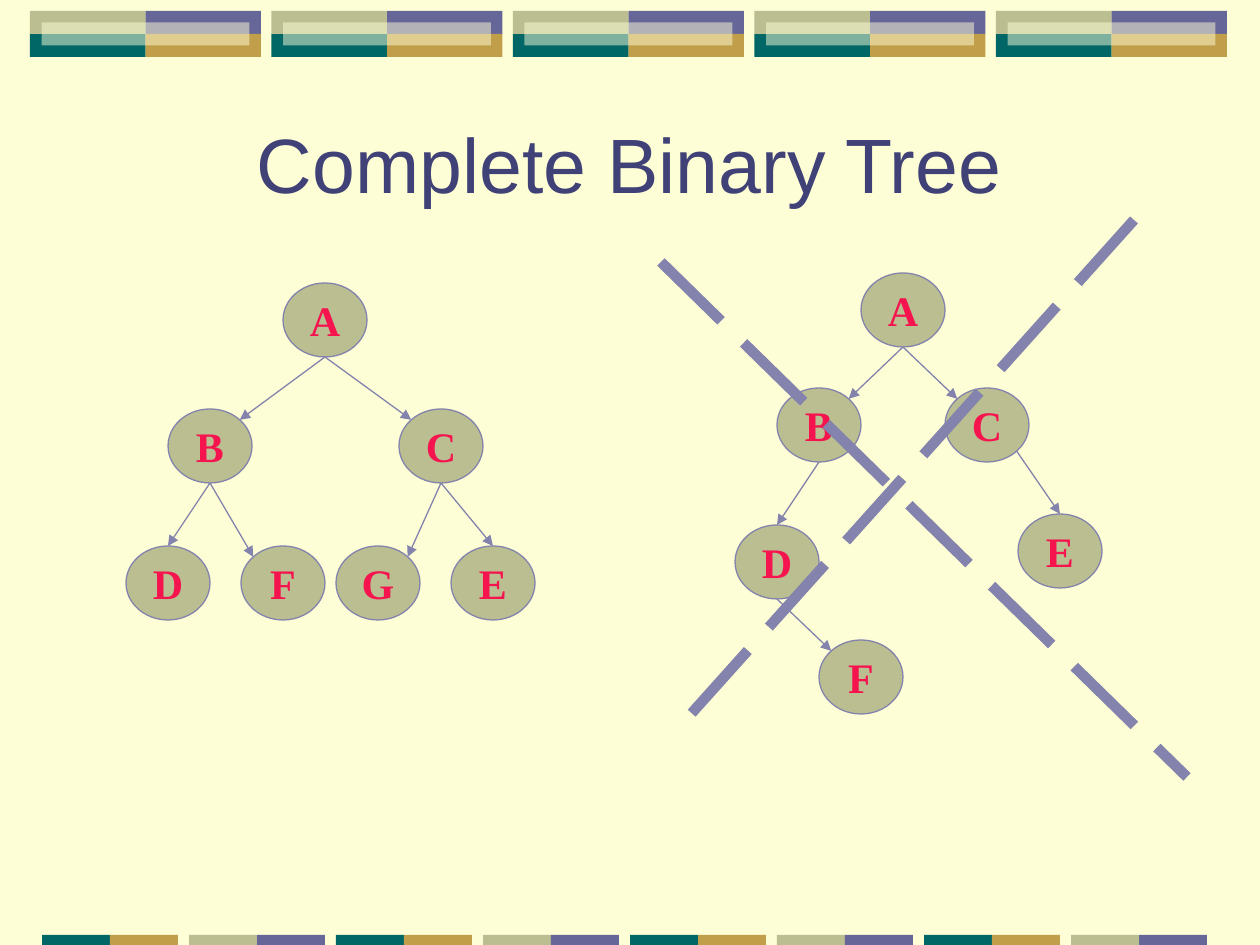
from math import sqrt

from lxml import etree
from pptx import Presentation
from pptx.dml.color import RGBColor
from pptx.enum.dml import MSO_LINE
from pptx.enum.shapes import MSO_CONNECTOR, MSO_SHAPE
from pptx.enum.text import MSO_ANCHOR, PP_ALIGN
from pptx.oxml.ns import qn
from pptx.util import Pt

RECT, OVAL = MSO_SHAPE.RECTANGLE, MSO_SHAPE.OVAL
STRAIGHT = MSO_CONNECTOR.STRAIGHT
LONG_DASH = MSO_LINE.LONG_DASH
MIDDLE, CENTER = MSO_ANCHOR.MIDDLE, PP_ALIGN.CENTER

CREAM = RGBColor(0xFE, 0xFE, 0xD6)
PURPLE = RGBColor(0x66, 0x66, 0x99)
GOLD = RGBColor(0xC0, 0x9E, 0x4A)
TEAL = RGBColor(0x00, 0x66, 0x66)
OLIVE = RGBColor(0xBA, 0xBE, 0x90)
LAVENDER = RGBColor(0x83, 0x83, 0xAD)
NAVY = RGBColor(0x40, 0x41, 0x76)
RED = RGBColor(0xF6, 0x14, 0x4F)

PX = 914400 / 126
NODE_W, NODE_H = 84, 74

# Attachment points on a node, as fractions of its width and height
NEAR, FAR = 0.5 - sqrt(0.125), 0.5 + sqrt(0.125)
SITES = {"top": (0.5, 0), "bottom": (0.5, 1), "top left": (NEAR, NEAR),
         "top right": (FAR, NEAR), "bottom right": (FAR, FAR)}

# Node positions (left, top) and edges (parent, site, child, site)
COMPLETE_NODES = {"A": (283, 283), "B": (168, 409), "C": (399, 409),
                  "D": (126, 546), "F": (241, 546), "G": (336, 546),
                  "E": (451, 546)}
COMPLETE_EDGES = [("A", "bottom", "C", "top left"),
                  ("A", "bottom", "B", "top right"),
                  ("B", "bottom", "D", "top"),
                  ("B", "bottom", "F", "top left"),
                  ("C", "bottom", "E", "top"),
                  ("C", "bottom", "G", "top right")]
INCOMPLETE_NODES = {"A": (861, 273), "B": (777, 388), "C": (945, 388),
                    "D": (735, 525), "F": (819, 640), "E": (1018, 514)}
INCOMPLETE_EDGES = [("A", "bottom", "C", "top left"),
                    ("A", "bottom", "B", "top right"),
                    ("B", "bottom", "D", "top"),
                    ("D", "bottom", "F", "top left"),
                    ("C", "bottom right", "E", "top")]


def emu(*lengths):
    return [round(n * PX) for n in lengths]


def add_filled(s, kind, box, color):
    sp = s.shapes.add_shape(kind, *emu(*box))
    sp.shadow.inherit = False
    sp.fill.solid()
    sp.fill.fore_color.rgb = color
    sp.line.fill.background()
    return sp


def set_text(sp, text, font, size, color, bold=False):
    tf = sp.text_frame
    tf.vertical_anchor = MIDDLE
    p = tf.paragraphs[0]
    p.text = text
    p.alignment = CENTER
    p.font.name, p.font.size, p.font.bold = font, Pt(size), bold
    p.font.color.rgb = color
    return tf


def add_line(s, start, end, width):
    line = s.shapes.add_connector(STRAIGHT, *emu(*start, *end))
    line.line.color.rgb = LAVENDER
    line.line.width = Pt(width)
    etree.SubElement(line._element.spPr, qn("a:effectLst"))
    return line


def add_arrow(s, start, end):
    arrow = add_line(s, start, end, 0.75)
    etree.SubElement(arrow.line._get_or_add_ln(), qn("a:tailEnd"), type="triangle")


def add_node(s, label, left, top):
    sp = add_filled(s, OVAL, (left, top, NODE_W, NODE_H), OLIVE)
    sp.line.color.rgb = LAVENDER
    sp.line.width = Pt(0.75)
    set_text(sp, label, "Times New Roman", 24, RED, True).word_wrap = False


def add_tree(s, nodes, edges):
    def site_point(label, site):
        (left, top), (fx, fy) = nodes[label], SITES[site]
        return left + fx * NODE_W, top + fy * NODE_H

    for label, (left, top) in nodes.items():
        add_node(s, label, left, top)
    for parent, out, child, into in edges:
        add_arrow(s, site_point(parent, out), site_point(child, into))


def add_top_band(s):
    half, row = 115.5, 23
    for i in range(5):
        x, y = 30 + i * 241.5, 11
        quarters = ((1, 0, PURPLE), (1, 1, GOLD), (0, 1, TEAL), (0, 0, OLIVE))
        for col, line, color in quarters:
            add_filled(s, RECT, (x + col * half, y + line * row, half, row), color)
        veil = add_filled(s, RECT, (x + 11.5, y + 11.5, 208, row), CREAM)
        color = veil._element.spPr.find(".//" + qn("a:srgbClr"))
        etree.SubElement(color, qn("a:alpha"), val="50000")


def add_bottom_band(s):
    for i in range(8):
        pair = (OLIVE, PURPLE) if i % 2 else (TEAL, GOLD)
        for col, color in enumerate(pair):
            add_filled(s, RECT, (42 + i * 147 + col * 68, 935, 68, 10), color)


def add_title(s, text):
    box = s.shapes.add_textbox(*emu(94, 84, 1071, 158))
    set_text(box, text, "Arial", 44, NAVY).word_wrap = True


def main():
    prs = Presentation()
    prs.slide_width, prs.slide_height = emu(1260, 945)
    s = prs.slides.add_slide(prs.slide_layouts[6])
    s.background.fill.solid()
    s.background.fill.fore_color.rgb = CREAM

    # Decorative bands and title
    add_top_band(s)
    add_bottom_band(s)
    add_title(s, "Complete Binary Tree")

    # The two trees
    add_tree(s, COMPLETE_NODES, COMPLETE_EDGES)
    add_tree(s, INCOMPLETE_NODES, INCOMPLETE_EDGES)

    # Cross over the incomplete tree
    for start, end in (((661, 262), (1187, 777)), ((1134, 220), (682, 724))):
        add_line(s, start, end, 6).line.dash_style = LONG_DASH

    prs.save("out.pptx")


if __name__ == "__main__":
    main()
